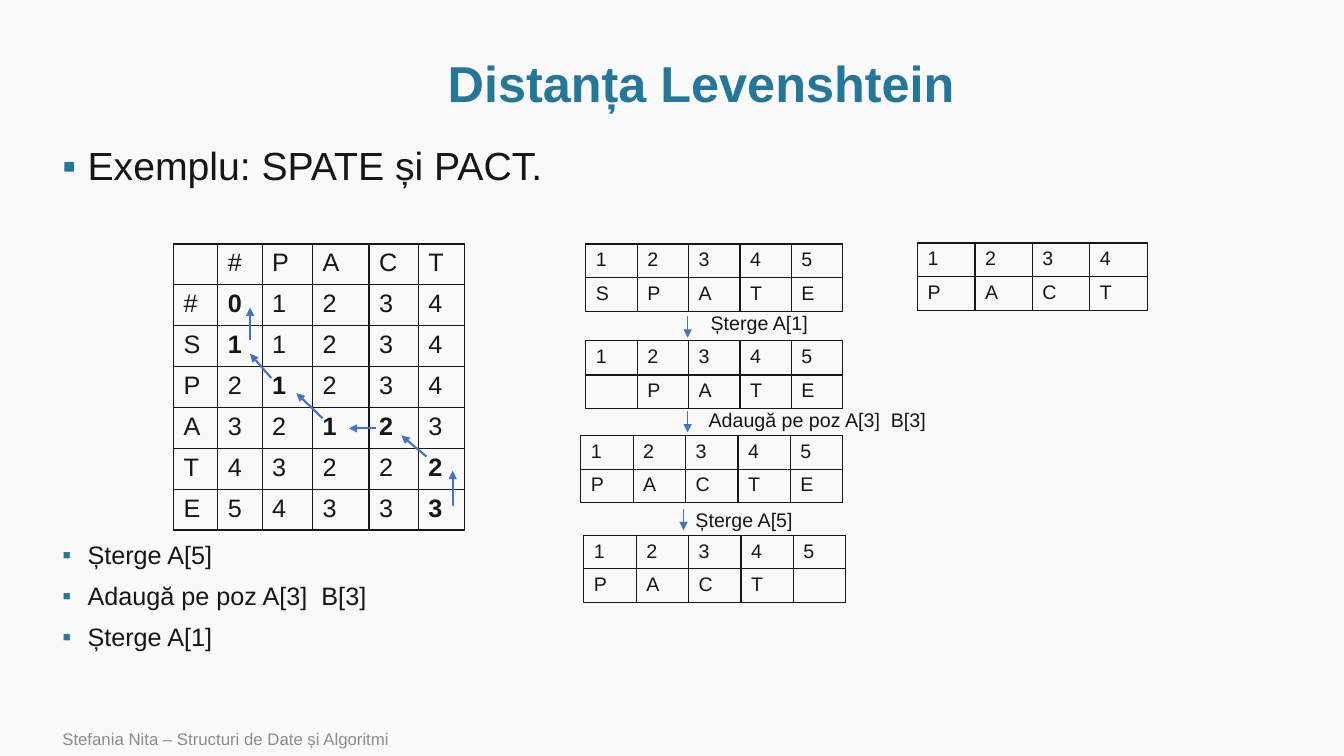
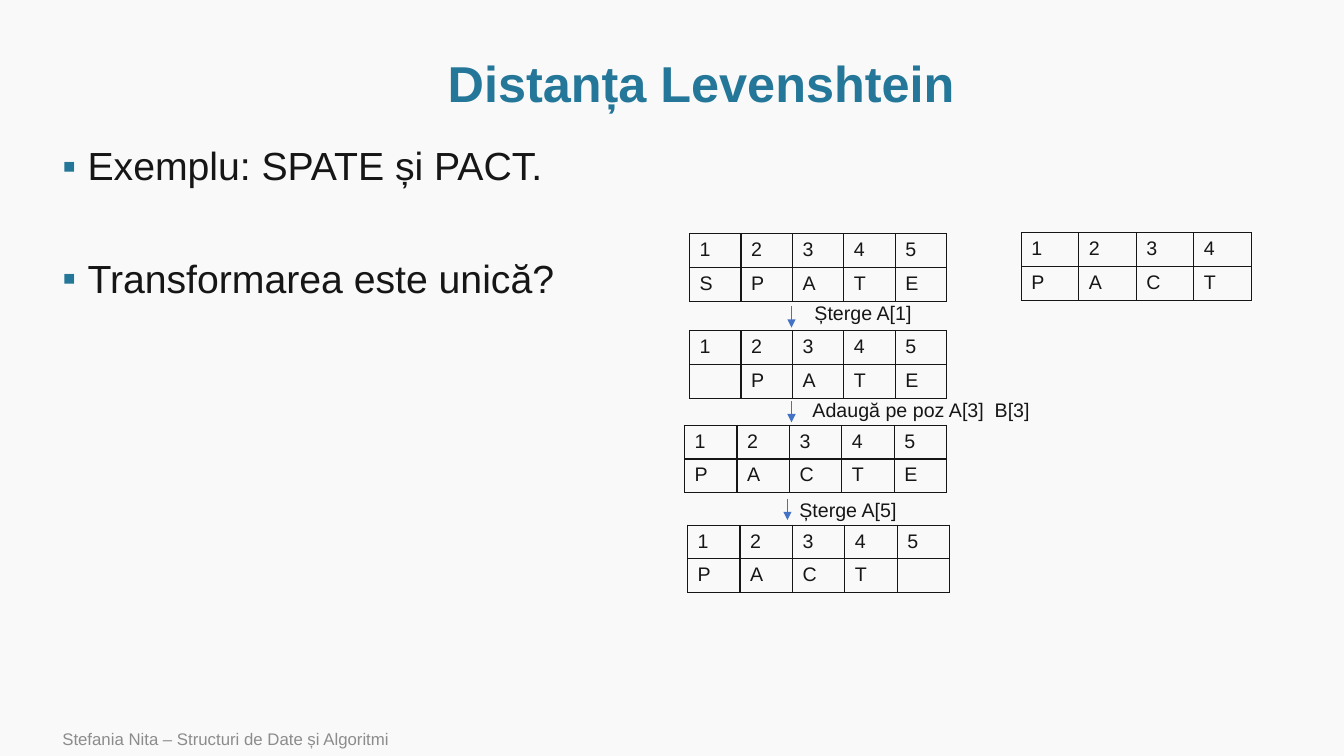
from dataclasses import dataclass
from typing import Any, Optional

from lxml.etree import SubElement
from pptx import Presentation
from pptx.dml.color import RGBColor
from pptx.enum.shapes import MSO_CONNECTOR
from pptx.enum.text import MSO_ANCHOR, MSO_AUTO_SIZE, PP_ALIGN
from pptx.oxml.ns import qn
from pptx.util import Inches, Pt

STRAIGHT = MSO_CONNECTOR.STRAIGHT
MIDDLE = MSO_ANCHOR.MIDDLE
GROW = MSO_AUTO_SIZE.SHAPE_TO_FIT_TEXT
CENTER = PP_ALIGN.CENTER

PAPER, INK, TEAL, BLUE, GRAY = "F9F9F9", "171616", "247798", "4472C4", "8C8C8C"
FONT = "Arial"
HEAD = {"size": Pt(36), "bold": True}
FOOT = {"size": Pt(12)}
LABEL = {"size": Pt(14)}


@dataclass
class Item:
    text: str
    size: int
    gap: float = 10


@dataclass
class Grid:
    left: float
    top: float
    cols: list[float]
    highs: list[float]
    rows: list[str]
    size: int = 14
    bold: tuple[tuple[int, int], ...] = ()


@dataclass
class Arrow:
    x1: float
    y1: float
    x2: float
    y2: float
    width: float = 0.5


@dataclass
class Label:
    left: float
    top: float
    width: float
    text: str


DROP_S, ADD_C, DROP_E = "Șterge A[1]", "Adaugă pe poz A[3]  B[3]", "Șterge A[5]"
INTRO = Item("Exemplu: SPATE și PACT.", 28, 0)
STEPS = [INTRO, Item(DROP_E, 18, 252), Item(ADD_C, 18), Item(DROP_S, 18)]
QUERY = [INTRO, Item("Transformarea este unică?", 28, 50)]

MATRIX = Grid(
    1.72, 2.42, [0.44, 0.44, 0.5, 0.56, 0.49, 0.46], [2.84 / 7] * 7,
    [" #PACT", "#01234", "S11234", "P21234", "A32123", "T43222", "E54333"],
    18, ((1, 1), (2, 1), (3, 2), (4, 3), (4, 4), (5, 5), (6, 5)),
)
TRACE = [
    Arrow(4.49, 5.02, 4.49, 4.67, 1.5),
    Arrow(4.23, 4.53, 3.98, 4.32, 1.5),
    Arrow(3.73, 4.25, 3.46, 4.25, 1.5),
    Arrow(3.2, 4.15, 2.94, 3.9, 1.5),
    Arrow(2.69, 3.75, 2.48, 3.51, 1.5),
    Arrow(2.48, 3.37, 2.48, 3.05, 1.5),
]
EVEN = [0.32, 0.32]
WORDS = [
    Grid(5.81, 2.42, [0.51] * 5, EVEN, ["12345", "SPATE"]),
    Grid(5.81, 3.38, [0.51] * 5, [0.34, 0.32], ["12345", " PATE"]),
    Grid(9.1, 2.41, [0.57] * 4, EVEN, ["1234", "PACT"]),
    Grid(5.76, 4.32, [0.52] * 5, EVEN, ["12345", "PACTE"]),
    Grid(5.79, 5.31, [0.52] * 5, EVEN, ["12345", "PACT "]),
]
DOWN = [
    Arrow(x, y, x, y + 0.21)
    for x, y in ((6.82, 3.14), (6.82, 4.08), (6.78, 5.05))
]
LABELS = [
    Label(6.95, 3.04, 1.17, DROP_S),
    Label(6.93, 4, 2.37, ADD_C),
    Label(6.8, 4.99, 1.23, DROP_E),
]


def color(code: str) -> RGBColor:
    return RGBColor.from_string(code)


def style(font: Any, code: str, form: dict[str, Any]) -> None:
    for key, value in {"name": FONT, **form}.items():
        setattr(font, key, value)
    font.color.rgb = color(code)


def write(para: Any, text: str, code: str, form: dict[str, Any]) -> None:
    run = para.add_run()
    run.text = text
    style(run.font, code, form)


def frame(slide: Any, left: float, top: float, width: float, height: float,
          form: dict[str, Any]) -> Any:
    box = slide.shapes.add_textbox(
        Inches(left), Inches(top), Inches(width), Inches(height))
    for key, value in {"word_wrap": True, **form}.items():
        setattr(box.text_frame, key, value)
    return box.text_frame


def bullet(para: Any) -> None:
    props = para._p.get_or_add_pPr()
    props.set("marL", str(Inches(0.25)))
    props.set("indent", str(-Inches(0.25)))
    tint = SubElement(props, qn("a:buClr"))
    SubElement(tint, qn("a:srgbClr"), val=TEAL)
    SubElement(props, qn("a:buFont"), typeface=FONT)
    SubElement(props, qn("a:buChar"), char="▪")


def border(cell: Any) -> None:
    props = cell._tc.get_or_add_tcPr()
    for side in "LRTB":
        line = SubElement(props, qn(f"a:ln{side}"), w=str(Pt(1)))
        fill = SubElement(line, qn("a:solidFill"))
        SubElement(fill, qn("a:srgbClr"), val=INK)


def draw_grid(slide: Any, grid: Grid, dx: float, dy: float) -> None:
    table = slide.shapes.add_table(
        len(grid.rows), len(grid.cols),
        Inches(grid.left + dx), Inches(grid.top + dy),
        Inches(sum(grid.cols)), Inches(sum(grid.highs))).table
    table.first_row = table.horz_banding = False
    for col, width in zip(table.columns, grid.cols):
        col.width = Inches(width)
    for row, high in zip(table.rows, grid.highs):
        row.height = Inches(high)
    for r, text in enumerate(grid.rows):
        for c, char in enumerate(text):
            cell = table.cell(r, c)
            border(cell)
            cell.fill.background()
            para = cell.text_frame.paragraphs[0]
            if char == " ":
                SubElement(para._p, qn("a:endParaRPr"), sz=str(grid.size * 100))
            else:
                form = {"size": Pt(grid.size), "bold": (r, c) in grid.bold}
                write(para, char, INK, form)


def draw_arrow(slide: Any, arrow: Arrow, dx: float, dy: float) -> None:
    link = slide.shapes.add_connector(
        STRAIGHT, Inches(arrow.x1 + dx), Inches(arrow.y1 + dy),
        Inches(arrow.x2 + dx), Inches(arrow.y2 + dy))
    link.line.color.rgb = color(BLUE)
    link.line.width = Pt(arrow.width)
    SubElement(link.line._ln, qn("a:tailEnd"), type="triangle")
    SubElement(link._element.spPr, qn("a:effectLst"))


def draw_label(slide: Any, label: Label, dx: float, dy: float) -> None:
    text = frame(slide, label.left + dx, label.top + dy, label.width, 0.34,
                 {"word_wrap": False, "auto_size": GROW})
    write(text.paragraphs[0], label.text, INK, LABEL)


def draw_body(slide: Any, items: list[Item]) -> None:
    text = frame(slide, 0.52, 1.41, 12.25, 5.48, {})
    for i, item in enumerate(items):
        para = text.add_paragraph() if i else text.paragraphs[0]
        para.line_spacing = 0.9
        if item.gap:
            para.space_before = Pt(item.gap)
        bullet(para)
        write(para, item.text, INK, {"size": Pt(item.size)})


def draw_chain(slide: Any, dx: float = 0, dy: float = 0) -> None:
    for grid in WORDS:
        draw_grid(slide, grid, dx, dy)
    for arrow in DOWN:
        draw_arrow(slide, arrow, dx, dy)
    for label in LABELS:
        draw_label(slide, label, dx, dy)


def add_slide(deck: Any, items: list[Item], grid: Optional[Grid] = None,
              trace: Optional[list[Arrow]] = None,
              dx: float = 0, dy: float = 0) -> None:
    slide = deck.slides.add_slide(deck.slide_layouts[6])
    title = frame(slide, 1.14, 0.51, 11.63, 0.69, {"vertical_anchor": MIDDLE})
    para = title.paragraphs[0]
    para.alignment = CENTER
    para.line_spacing = 0.9
    write(para, "Distanța Levenshtein", TEAL, HEAD)
    foot = frame(slide, 0.52, 7.16, 8.4, 0.34, {"vertical_anchor": MIDDLE})
    write(foot.paragraphs[0], "Stefania Nita – Structuri de Date și Algoritmi",
          GRAY, FOOT)
    draw_body(slide, items)
    if grid:
        draw_grid(slide, grid, 0, 0)
    for arrow in trace or []:
        draw_arrow(slide, arrow, 0, 0)
    draw_chain(slide, dx, dy)


def main() -> None:
    deck = Presentation()
    deck.slide_width, deck.slide_height = Inches(13.33), Inches(7.5)
    fill = deck.slide_master.background.fill
    fill.solid()
    fill.fore_color.rgb = color(PAPER)
    add_slide(deck, STEPS, MATRIX, TRACE)
    add_slide(deck, QUERY, dx=1.03, dy=-0.1)
    deck.save("out.pptx")


if __name__ == "__main__":
    main()
